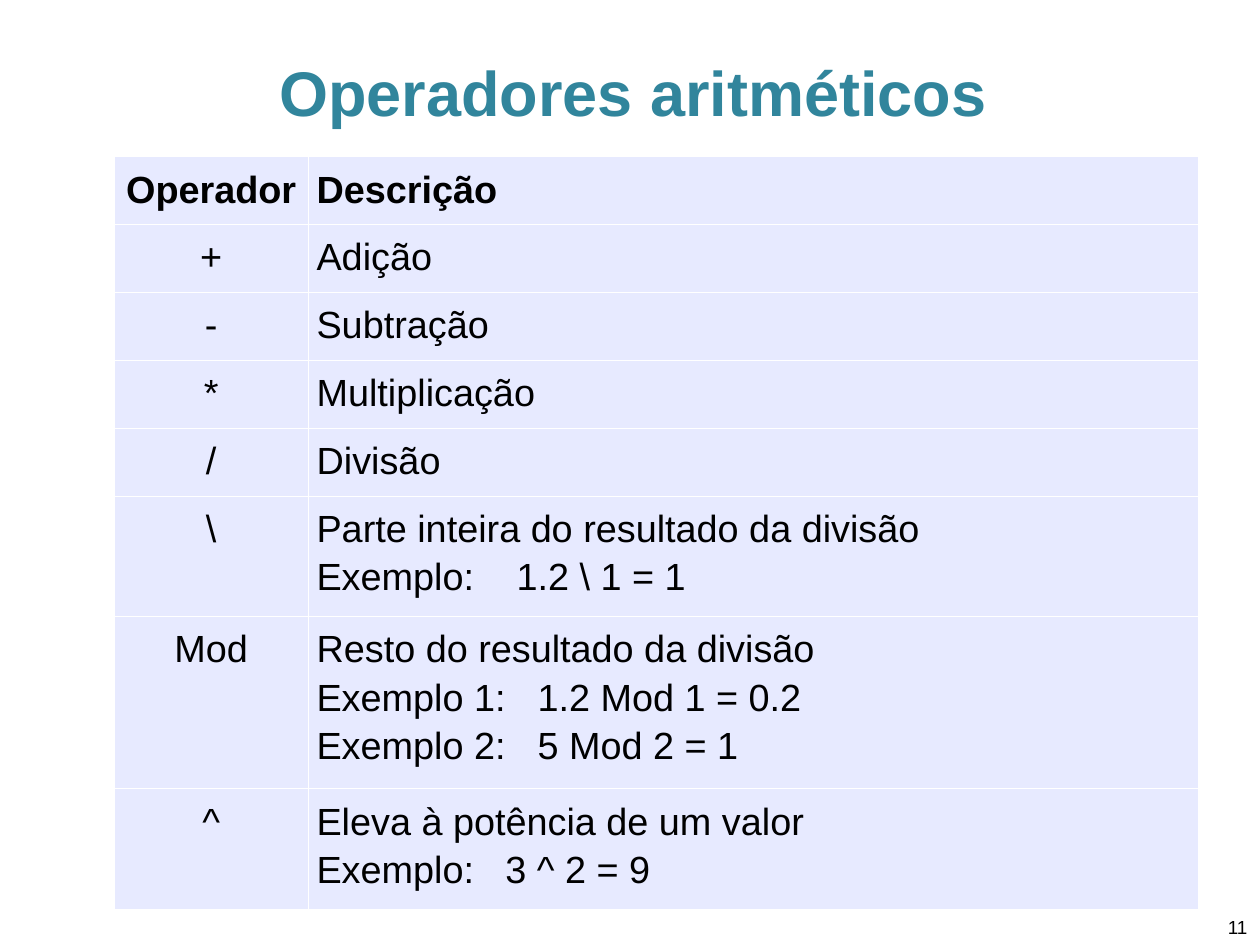
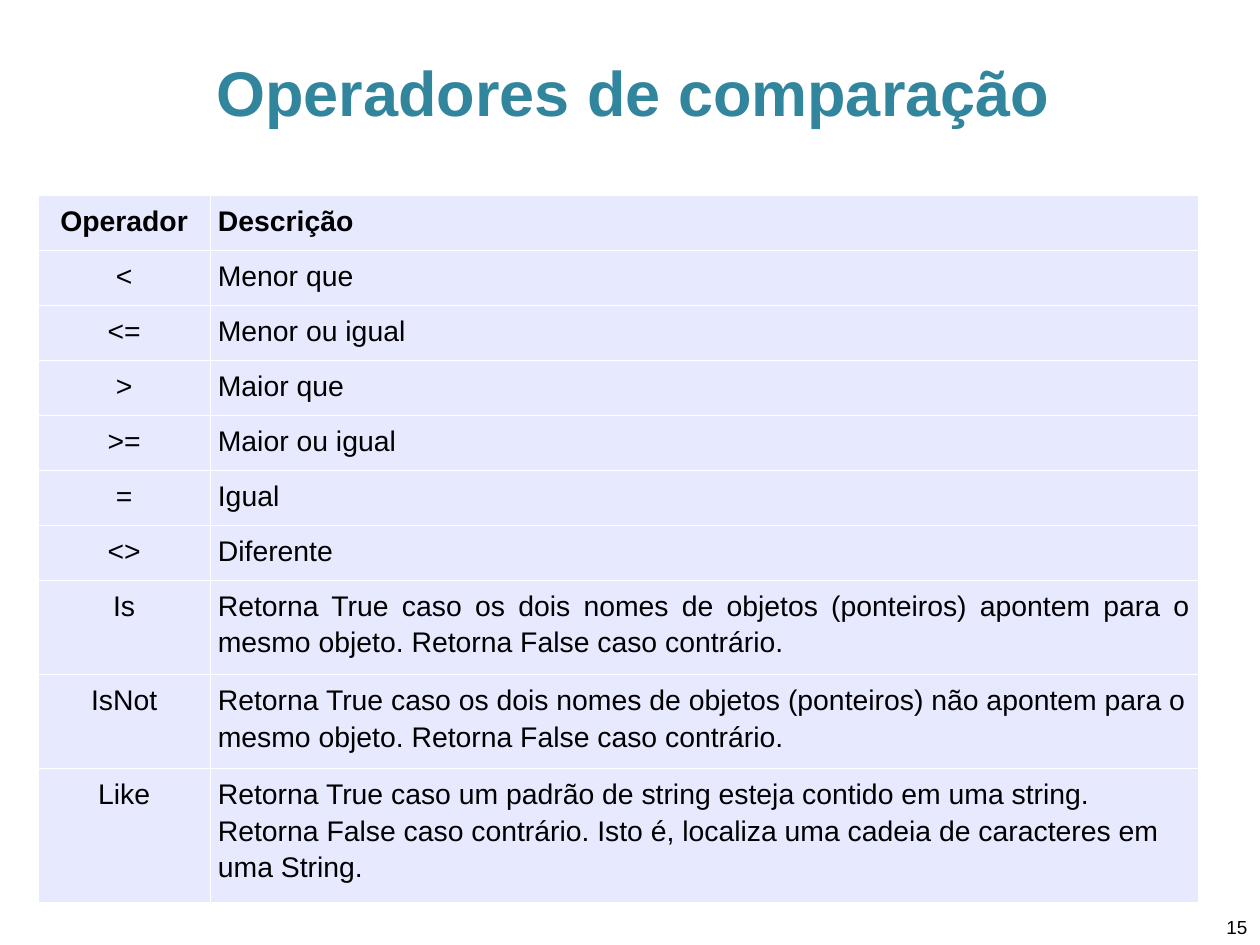
from dataclasses import dataclass

from lxml import etree
from pptx import Presentation
from pptx import util as u
from pptx.dml.color import RGBColor
from pptx.enum import text
from pptx.oxml import ns

TEAL = RGBColor(0x31, 0x85, 0x9C)
LAVENDER = RGBColor(0xE7, 0xEA, 0xFF)
BLACK = RGBColor(0x00, 0x00, 0x00)
WHITE = RGBColor(0xFF, 0xFF, 0xFF)

FONT = "Arial"
TITLE_ONLY = 5
LEFT, CENTER = text.PP_ALIGN.LEFT, text.PP_ALIGN.CENTER
RIGHT, JUSTIFY = text.PP_ALIGN.RIGHT, text.PP_ALIGN.JUSTIFY


@dataclass
class Row:
    operator: str
    description: str
    lines: int = 1
    align: int = LEFT
    tab: float = 0
    bold: bool = False


HEADER = Row("Operador", "Descrição", bold=True)

ARITHMETIC = [
    HEADER,
    Row("+", "Adição"),
    Row("-", "Subtração"),
    Row("*", "Multiplicação"),
    Row("/", "Divisão"),
    Row("\\", "Parte inteira do resultado da divisão\nExemplo:\t1.2 \\ 1 = 1",
        lines=2, tab=4.48),
    Row("Mod", "Resto do resultado da divisão\nExemplo 1:\t1.2 Mod 1 = 0.2\n"
        "Exemplo 2:\t5 Mod 2 = 1", lines=3, tab=4.95),
    Row("^", "Eleva à potência de um valor\nExemplo:\t3 ^ 2 = 9",
        lines=2, tab=4.23),
]

COMPARISON = [
    HEADER,
    Row("<", "Menor que"),
    Row("<=", "Menor ou igual"),
    Row(">", "Maior que"),
    Row(">=", "Maior ou igual"),
    Row("=", "Igual"),
    Row("<>", "Diferente"),
    Row("Is", "Retorna True caso os dois nomes de objetos (ponteiros) apontem "
        "para o mesmo objeto. Retorna False caso contrário.",
        lines=2, align=JUSTIFY),
    Row("IsNot", "Retorna True caso os dois nomes de objetos (ponteiros) não "
        "apontem para o mesmo objeto. Retorna False caso contrário.", lines=2),
    Row("Like", "Retorna True caso um padrão de string esteja contido em uma "
        "string. Retorna False caso contrário. Isto é, localiza uma cadeia de "
        "caracteres em uma String.", lines=3),
]


def write_text(frame, content, size, color=BLACK, bold=False, align=LEFT,
               spacing=None, tab=0):
    """Fill a text frame, one paragraph for each line of content."""
    for index, line in enumerate(content.split("\n")):
        paragraph = frame.paragraphs[0] if index == 0 else frame.add_paragraph()
        paragraph.alignment = align
        if spacing:
            paragraph.line_spacing = spacing
        if "\t" in line:
            properties = paragraph._p.get_or_add_pPr()
            stops = etree.SubElement(properties, ns.qn("a:tabLst"))
            etree.SubElement(stops, ns.qn("a:tab"), pos=str(u.Cm(tab)), algn="l")
        run = paragraph.add_run()
        run.text = line
        run.font.name = FONT
        run.font.size = u.Pt(size)
        run.font.bold = bold
        run.font.color.rgb = color


def add_title(slide, content, left, top, width, height):
    title = slide.shapes.title
    title.left, title.top = u.Cm(left), u.Cm(top)
    title.width, title.height = u.Cm(width), u.Cm(height)
    frame = title.text_frame
    frame.auto_size = text.MSO_AUTO_SIZE.NONE
    frame.vertical_anchor = text.MSO_ANCHOR.MIDDLE
    write_text(frame, content, 40, color=TEAL, bold=True, align=CENTER)


def add_page_number(slide, number, left, top, width, height):
    box = slide.shapes.add_textbox(u.Cm(left), u.Cm(top), u.Cm(width), u.Cm(height))
    box.text_frame.word_wrap = True
    box.text_frame.vertical_anchor = text.MSO_ANCHOR.MIDDLE
    write_text(box.text_frame, str(number), 12, align=RIGHT)


def format_cell(cell):
    """Thin white borders, pale fill and narrow side margins."""
    properties = cell._tc.get_or_add_tcPr()
    for side in ("a:lnL", "a:lnR", "a:lnT", "a:lnB"):
        line = etree.SubElement(properties, ns.qn(side), w=str(u.Pt(0.45)))
        fill = etree.SubElement(line, ns.qn("a:solidFill"))
        etree.SubElement(fill, ns.qn("a:srgbClr"), val=str(WHITE))
    cell.fill.solid()
    cell.fill.fore_color.rgb = LAVENDER
    cell.margin_left = cell.margin_right = u.Cm(0.18)
    cell.margin_top = cell.margin_bottom = u.Cm(0.13)


def add_operator_table(slide, rows, left, top, columns, size, row_height, line_step):
    """Each row grows by line_step for every line after the first."""
    heights = [row_height + line_step * (row.lines - 1) for row in rows]
    table = slide.shapes.add_table(
        len(rows), len(columns), u.Cm(left), u.Cm(top),
        u.Cm(sum(columns)), u.Cm(sum(heights))).table
    table.first_row = table.horz_banding = False
    for column, width in zip(table.columns, columns):
        column.width = u.Cm(width)
    for index, (row, height) in enumerate(zip(rows, heights)):
        table.rows[index].height = u.Cm(height)
        for column, (content, align) in enumerate(
                [(row.operator, CENTER), (row.description, row.align)]):
            cell = table.cell(index, column)
            format_cell(cell)
            write_text(cell.text_frame, content, size, bold=row.bold,
                       align=align, spacing=1.15, tab=row.tab)


def add_operator_slide(presentation, title, number, rows, **layout):
    slide = presentation.slides.add_slide(presentation.slide_layouts[TITLE_ONLY])
    add_title(slide, title, left=0.86, top=0.84, width=26.62, height=2.4)
    add_page_number(slide, number, left=26.82, top=20.37, width=1.37, height=0.79)
    add_operator_table(slide, rows, **layout)


def main():
    presentation = Presentation()
    presentation.slide_width, presentation.slide_height = u.Cm(28.22), u.Cm(21.16)
    # Arithmetic operators
    add_operator_slide(presentation, "Operadores aritméticos", 11, ARITHMETIC,
                       left=2.55, top=3.51, columns=(4.36, 19.93),
                       size=24, row_height=1.52, line_step=1.17)
    # Comparison operators
    add_operator_slide(presentation, "Operadores de comparação", 15, COMPARISON,
                       left=0.86, top=4.38, columns=(3.84, 22.13),
                       size=18, row_height=1.23, line_step=0.88)
    presentation.save("out.pptx")


if __name__ == "__main__":
    main()
